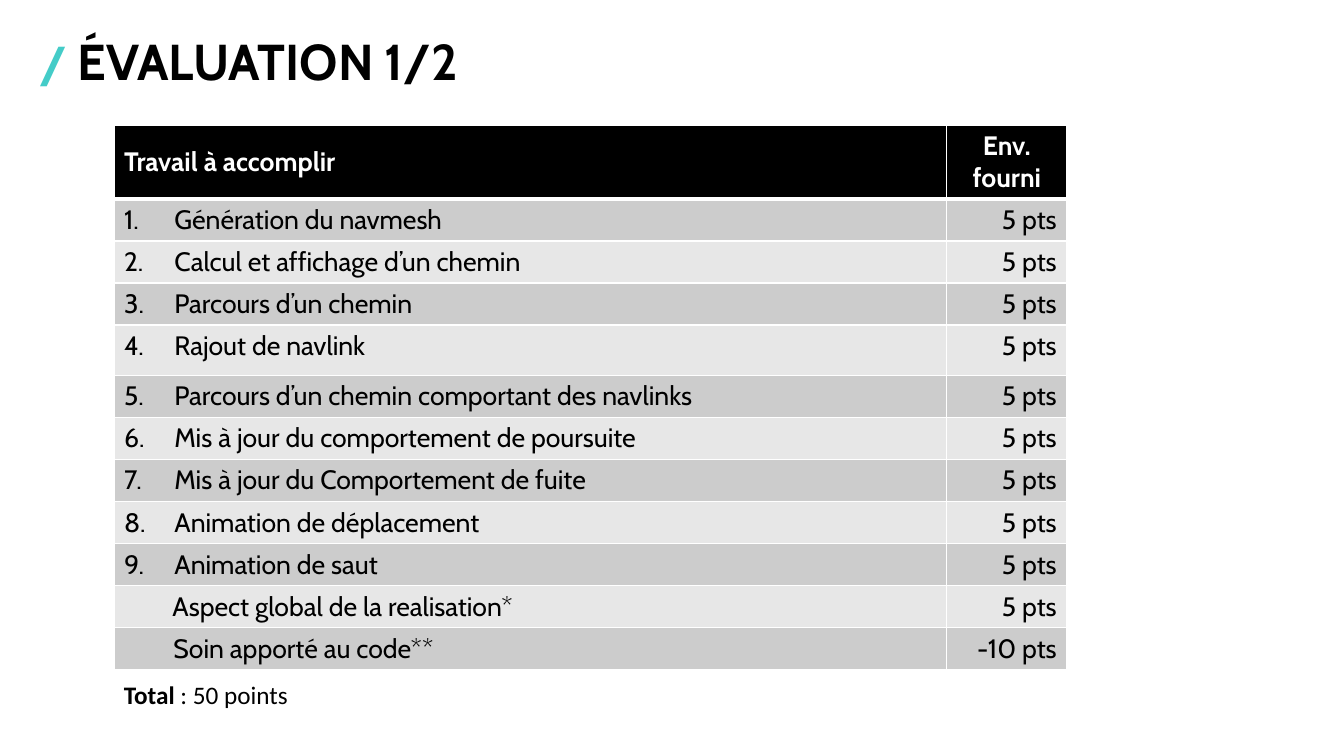
from pptx import Presentation
from pptx.dml.color import RGBColor
from pptx.enum.text import MSO_ANCHOR as Anchor, MSO_AUTO_SIZE as AutoSize, PP_ALIGN as Align
from pptx.oxml.ns import qn
from pptx.util import Inches, Pt
from lxml.etree import SubElement

BLACK = RGBColor(0x00, 0x00, 0x00)
WHITE = RGBColor(0xFF, 0xFF, 0xFF)
TEAL = RGBColor(0x44, 0xCC, 0xC8)
DARK = RGBColor(0xCC, 0xCC, 0xCC)
LIGHT = RGBColor(0xE7, 0xE7, 0xE7)

TASKS = [
    "Génération du navmesh",
    "Calcul et affichage d’un chemin",
    "Parcours d’un chemin",
    "Rajout de navlink",
    "Parcours d’un chemin comportant des navlinks",
    "Mis à jour du comportement de poursuite",
    "Mis à jour du Comportement de fuite",
    "Animation de déplacement",
    "Animation de saut",
]
EXTRAS = [
    ("Aspect global de la realisation*", "5 pts", 0.29, 0.19),
    ("Soin apporté au code**", "-10 pts", 0, 0.49),
]
HEADER_ROW, TASK_ROW, TALL_ROW = 9.07, 5.2, 6.67
TALL_TASK = 4
LEFT = 8.48


class Deck:
    font = "Cabin"
    title_size = 36
    table_size = 19

    def __init__(self):
        self.prs = Presentation()
        self.prs.slide_width = Inches(13.33)
        self.prs.slide_height = Inches(7.5)
        self.s = self.prs.slides.add_slide(self.prs.slide_layouts[5])

    def x(self, percent):
        return round(self.prs.slide_width * percent / 100)

    def y(self, percent):
        return round(self.prs.slide_height * percent / 100)

    def box(self, left, top, width, height):
        return self.x(left), self.y(top), self.x(width), self.y(height)

    def run(self, p, text, size, color=BLACK, bold=False, font=None):
        r = p.add_run()
        r.text = text
        r.font.name = font or self.font
        r.font.size = Pt(size)
        r.font.bold = bold
        r.font.color.rgb = color

    def title(self, text, *box):
        sp = self.s.shapes.title
        sp.left, sp.top, sp.width, sp.height = self.box(*box)
        tf = sp.text_frame
        tf.vertical_anchor = Anchor.MIDDLE
        p = tf.paragraphs[0]
        p.alignment = Align.LEFT
        p.line_spacing = 0.9
        self.run(p, text, self.title_size, bold=True)

    def label(self, *box):
        tf = self.s.shapes.add_textbox(*self.box(*box)).text_frame
        tf.word_wrap = False
        tf.auto_size = AutoSize.SHAPE_TO_FIT_TEXT
        return tf.paragraphs[0]

    def table(self, left, top, columns, rows):
        box = self.box(left, top, sum(columns), sum(rows))
        table = self.s.shapes.add_table(len(rows), len(columns), *box).table
        for column, width in zip(table.columns, columns):
            column.width = self.x(width)
        for row, height in zip(table.rows, rows):
            row.height = self.y(height)
        return table

    def cell(self, cell, text, fill, color=BLACK, bold=False, align=Align.LEFT, bottom=1):
        self.borders(cell, bottom)
        cell.fill.solid()
        cell.fill.fore_color.rgb = fill
        p = cell.text_frame.paragraphs[0]
        p.alignment = align
        self.run(p, text, self.table_size, color, bold)
        return p

    def borders(self, cell, bottom):
        tcPr = cell._tc.get_or_add_tcPr()
        for side, width in (("L", 1), ("R", 1), ("T", 1), ("B", bottom)):
            ln = SubElement(tcPr, qn(f"a:ln{side}"), w=str(Pt(width)))
            SubElement(SubElement(ln, qn("a:solidFill")), qn("a:srgbClr"), val=str(WHITE))

    def indent(self, p, margin, first, number=None):
        pPr = p._p.get_or_add_pPr()
        pPr.set("marL", str(Inches(margin)))
        pPr.set("indent", str(Inches(first)))
        if number:
            SubElement(pPr, qn("a:buFont"), typeface="+mj-lt")
            SubElement(pPr, qn("a:buAutoNum"), type="arabicPeriod", startAt=str(number))


def main():
    deck = Deck()
    deck.run(deck.label(2.18, 3.6, 3.53, 9.47), "/", deck.title_size, TEAL, True)
    deck.title("ÉVALUATION 1/2", 5.03, 3.87, 92.95, 9.33)

    lines = [(task, "5 pts", 0.5, -0.5, n) for n, task in enumerate(TASKS, 1)]
    lines += [(*extra, None) for extra in EXTRAS]
    rows = [HEADER_ROW] + [TALL_ROW if line[4] == TALL_TASK else TASK_ROW for line in lines]
    table = deck.table(LEFT, 16.53, [61.97, 8.93], rows)

    for c, (text, align) in enumerate([("Travail à accomplir", Align.LEFT), ("Env. fourni", Align.CENTER)]):
        head = table.cell(0, c)
        head.vertical_anchor = Anchor.MIDDLE
        deck.cell(head, text, BLACK, WHITE, True, align, bottom=3)

    for i, (task, points, margin, first, number) in enumerate(lines, 1):
        fill = DARK if i % 2 else LIGHT
        p = deck.cell(table.cell(i, 0), task, fill)
        deck.indent(p, margin, first, number)
        deck.cell(table.cell(i, 1), points, fill, align=Align.RIGHT)

    p = deck.label(LEFT, 88.93, 13.88, 5.73)
    p.line_spacing = 1.07
    p.space_after = Pt(8)
    deck.run(p, "Total", 18, bold=True, font="Calibri")
    deck.run(p, " : 50 points", 18, font="Calibri")

    deck.prs.save("out.pptx")


if __name__ == "__main__":
    main()
